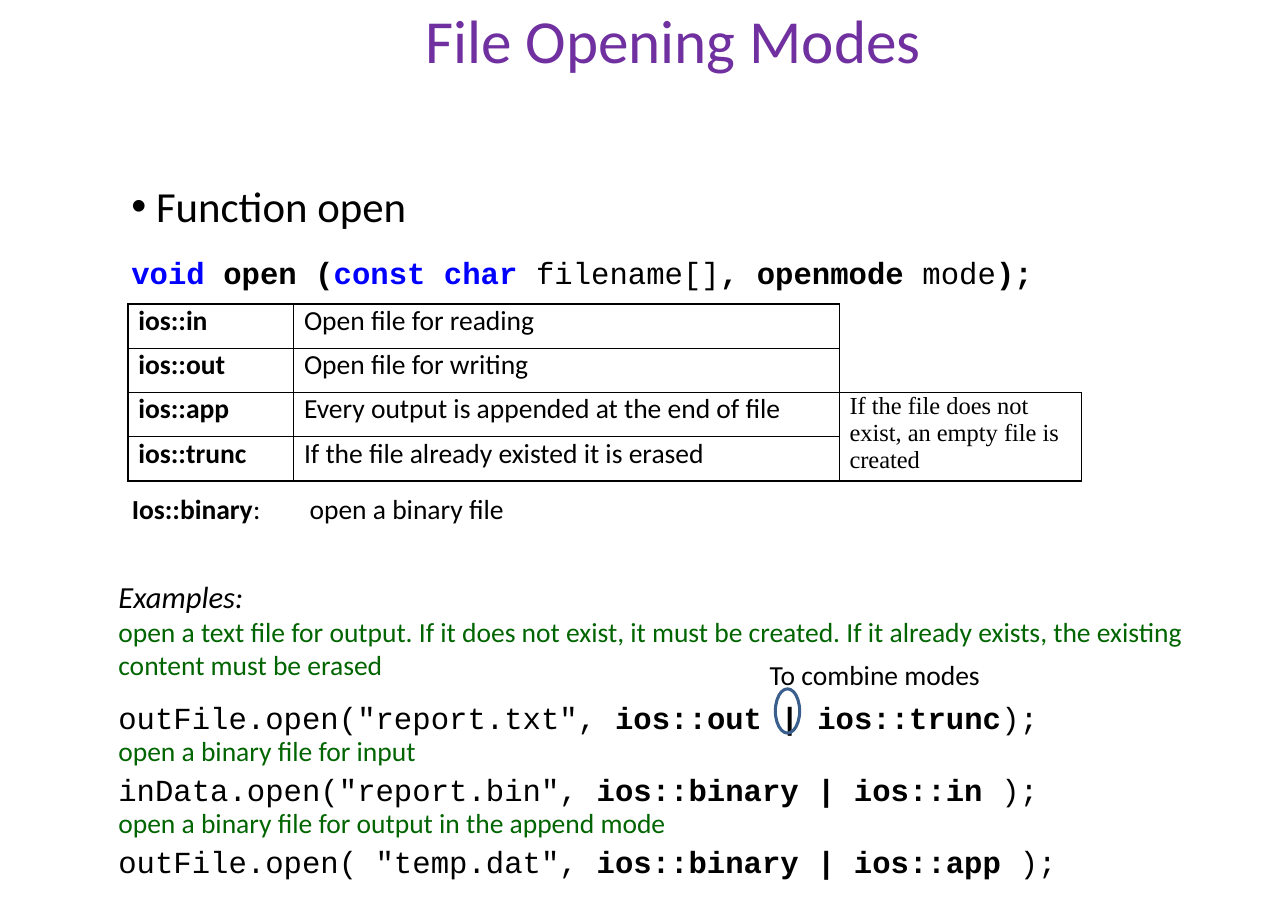
from lxml.etree import SubElement
from pptx import Presentation
from pptx.dml.color import RGBColor
from pptx.enum.shapes import MSO_SHAPE
from pptx.enum.text import MSO_ANCHOR, PP_ALIGN
from pptx.oxml.ns import qn
from pptx.util import Cm, Pt

PURPLE = RGBColor(0x70, 0x30, 0xA0)
BLACK = RGBColor(0, 0, 0)
BLUE = RGBColor(0, 0, 0xFF)
GREEN = RGBColor(0, 0x65, 0)
RING_BLUE = RGBColor(0x3A, 0x5F, 0x8C)

BOLD = {"bold": True}
KEYWORD = {"bold": True, "color": BLUE}
CODE = {"font": "Courier New", "size": 20}
NOTE = {"size": 18, "color": GREEN}


def add_run(paragraph, text, font="Calibri", size=18, color=BLACK, bold=False, italic=False):
    run = paragraph.add_run()
    run.text = text
    run.font.name = font
    run.font.size = Pt(size)
    run.font.color.rgb = color
    run.font.bold = bold
    run.font.italic = italic


def set_border(cell, side, visible):
    line = SubElement(cell._tc.get_or_add_tcPr(), qn(f"a:ln{side}"), w=str(Pt(1)))
    if visible:
        fill = SubElement(line, qn("a:solidFill"))
        SubElement(fill, qn("a:srgbClr"), val=str(BLACK))
    else:
        SubElement(line, qn("a:noFill"))


class SlideBuilder:
    def __init__(self, presentation):
        self.slide = presentation.slides.add_slide(presentation.slide_layouts[5])

    def title(self, text, left, top, width, height, indent):
        heading = self.slide.shapes.title
        heading.left, heading.top, heading.width, heading.height = map(Cm, (left, top, width, height))
        frame = heading.text_frame
        self.set_margins(frame, indent, 0)
        frame.vertical_anchor = MSO_ANCHOR.TOP
        paragraph = frame.paragraphs[0]
        paragraph.alignment = PP_ALIGN.LEFT
        add_run(paragraph, text, size=40, color=PURPLE)

    def set_margins(self, frame, horizontal, vertical):
        frame.margin_left = Cm(horizontal)
        frame.margin_right = 0
        frame.margin_top = frame.margin_bottom = Cm(vertical)

    def text(self, paragraphs, left, top, width, height, margins=(0.03, 0), wrap=True):
        box = self.slide.shapes.add_textbox(*map(Cm, (left, top, width, height)))
        frame = box.text_frame
        frame.word_wrap = wrap
        self.set_margins(frame, *margins)
        for index, (runs, base, layout) in enumerate(paragraphs):
            paragraph = frame.add_paragraph() if index else frame.paragraphs[0]
            self.lay_out(paragraph, **layout)
            for text, change in runs:
                add_run(paragraph, text, **{**base, **change})

    def lay_out(self, paragraph, before=0, pitch=None, bullet_indent=None, tab=None):
        properties = paragraph._p.get_or_add_pPr()
        if bullet_indent:
            properties.set("marL", str(Cm(bullet_indent)))
            properties.set("indent", str(-Cm(bullet_indent)))
            SubElement(properties, qn("a:buFont"), typeface="Arial")
            SubElement(properties, qn("a:buChar"), char="•")
        if tab:
            stops = SubElement(properties, qn("a:tabLst"))
            SubElement(stops, qn("a:tab"), pos=str(Cm(tab)), algn="l")
        if before:
            paragraph.space_before = Pt(before)
        if pitch:
            paragraph.line_spacing = Pt(pitch)

    def table(self, rows, remark, left, top, widths, row_height):
        frame = self.slide.shapes.add_table(
            len(rows), len(widths), Cm(left), Cm(top), Cm(sum(widths)), Cm(row_height * len(rows)))
        grid = frame.table
        grid.first_row = grid.horz_banding = False
        for column, width in zip(grid.columns, widths):
            column.width = Cm(width)
        for row_index, (mode, meaning) in enumerate(rows):
            grid.rows[row_index].height = Cm(row_height)
            for column_index in range(len(widths)):
                cell = grid.cell(row_index, column_index)
                self.set_margins(cell, 0.24, 0)
                beside_blank = column_index == 2 and row_index < 2
                for side in "LRTB":
                    set_border(cell, side, not beside_blank or side == "L" or (side == "B" and row_index == 1))
                cell.fill.background()
            add_run(grid.cell(row_index, 0).text_frame.paragraphs[0], mode, bold=True)
            add_run(grid.cell(row_index, 1).text_frame.paragraphs[0], meaning)
        for first in (0, 2):
            grid.cell(first, 2).merge(grid.cell(first + 1, 2))
        add_run(grid.cell(2, 2).text_frame.paragraphs[0], remark, font="Times New Roman", size=16)

    def ring(self, left, top, width, height):
        ellipse = self.slide.shapes.add_shape(MSO_SHAPE.OVAL, *map(Cm, (left, top, width, height)))
        ellipse.shadow.inherit = False
        ellipse.fill.background()
        ellipse.line.color.rgb = RING_BLUE
        ellipse.line.width = Pt(2)


def main():
    presentation = Presentation()
    presentation.slide_width = Cm(29.7)
    presentation.slide_height = Cm(21)
    builder = SlideBuilder(presentation)

    builder.title("File Opening Modes", 5.92, 0.05, 17.86, 1.7, 3.89)

    signature = [
        ("void ", KEYWORD), ("open (", BOLD), ("const char ", KEYWORD), ("filename[]", {}),
        (", openmode ", BOLD), ("mode", {}), (");", BOLD),
    ]
    builder.text([
        ([("Function open", {})], {"size": 28}, {"bullet_indent": 0.57}),
        (signature, CODE, {"before": 14.8}),
    ], 3, 4.15, 22, 2.41)

    modes = [
        ("ios::in", "Open file for reading"),
        ("ios::out", "Open file for writing"),
        ("ios::app", "Every output is appended at the end of file"),
        ("ios::trunc", "If the file already existed it is erased"),
    ]
    builder.table(modes, "If the file does not exist, an empty file is created",
                  2.95, 7.01, (3.82, 12.58, 5.59), 1.02)

    builder.text([([("Ios::binary", BOLD), (":\topen a binary file", {})], {}, {"tab": 4.1})],
                 2.79, 11.2, 20.78, 1.02, margins=(0.25, 0.13))

    requirement = ("open a text file for output. If it does not exist, it must be created. "
                   "If it already exists, the existing content must be erased")
    builder.text([
        ([("Examples:", {})], {"size": 20, "italic": True}, {}),
        ([(requirement, {})], NOTE, {}),
    ], 2.7, 13.33, 26.54, 2.39)

    code_line, note_line = {"pitch": 26.4}, {"pitch": 20.8}
    builder.text([
        ([('outFile.open("report.txt", ', {}), ("ios::out | ios::trunc", BOLD), (");", {})], CODE, code_line),
        ([("open a binary file for input", {})], NOTE, note_line),
        ([('inData.open("report.bin", ', {}), ("ios::binary | ios::in ", BOLD), (");", {})], CODE, code_line),
        ([("open a binary file for output in the append mode", {})], NOTE, note_line),
        ([('outFile.open( "temp.dat", ', {}), ("ios::binary | ios::app ", BOLD), (");", {})], CODE, code_line),
    ], 2.7, 16.02, 23, 4.26)

    builder.ring(17.88, 15.88, 0.56, 1.02)
    builder.text([([("To combine modes", {})], {}, {})], 17.5, 15.04, 5.61, 1.02,
                 margins=(0.25, 0.13), wrap=False)

    presentation.save("out.pptx")


if __name__ == "__main__":
    main()
